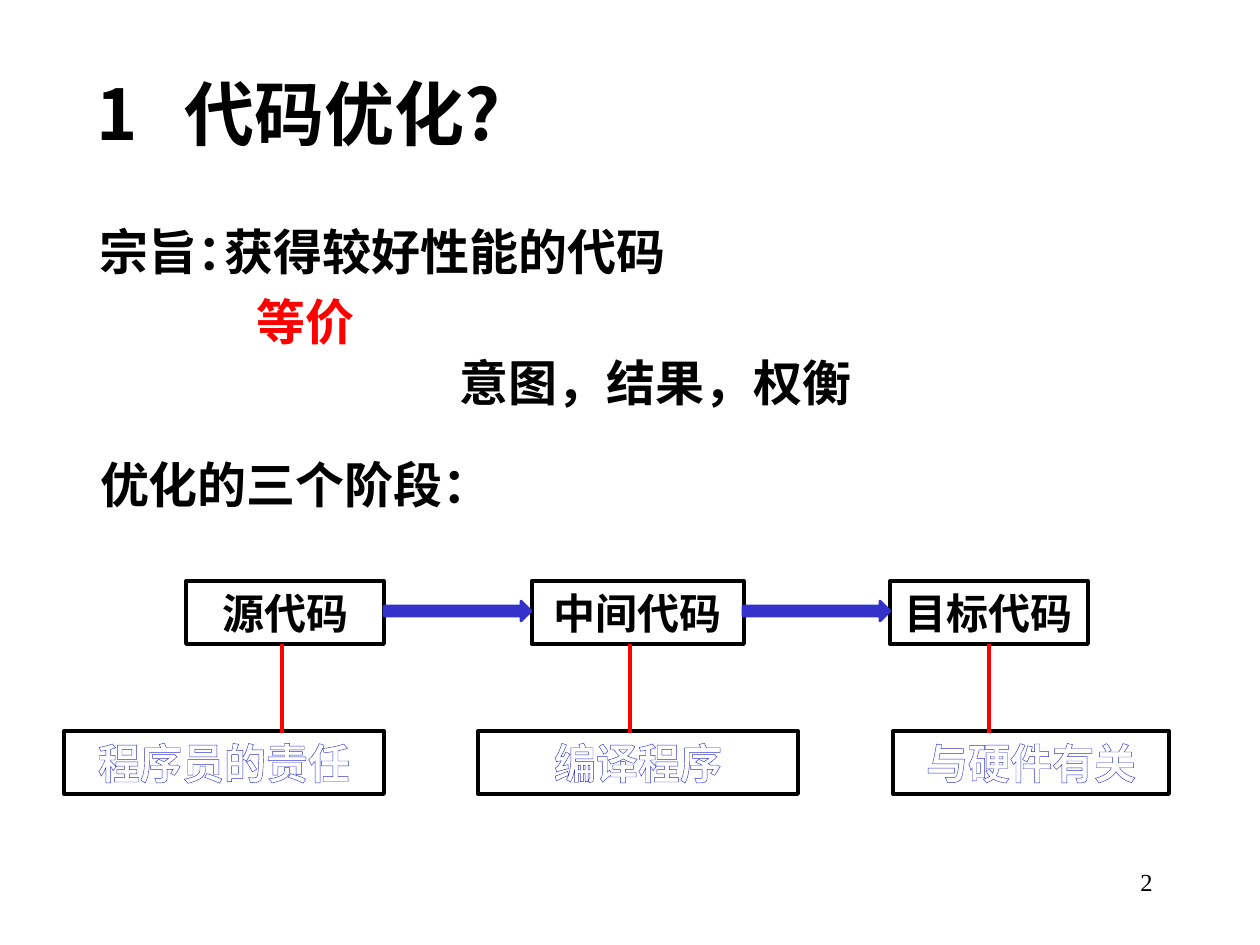
"""Build the slide on code optimization and its three stages."""
from lxml import etree
from pptx import Presentation
from pptx import util as u
from pptx.dml.color import RGBColor
from pptx.enum import shapes, text
from pptx.oxml import ns

COLORS = {"black": "000000", "white": "FFFFFF", "red": "FF0000", "blue": "3333CC"}
SANS, SERIF = "Noto Sans CJK SC", "Times New Roman"
PX = 914400 / 126


def px(*values):
    """Turn pixels into EMU."""
    return [u.Emu(round(v * PX)) for v in values]


def rgb(name):
    """Look up a colour by name."""
    return RGBColor.from_string(COLORS[name])


def sub(parent, tag, **attrs):
    """Append a DrawingML element to its parent."""
    return etree.SubElement(parent, ns.qn(tag), attrs)


def write(tf, words, size, font=SANS, color="black", bold=True, align=None):
    """Put one formatted paragraph into a text frame."""
    tf.text = words
    p = tf.paragraphs[0]
    p.alignment = align
    r = p.runs[0]
    r.font.size, r.font.bold, r.font.name = u.Pt(size), bold, font
    r.font.color.rgb = rgb(color)
    sub(r.font._element, "a:ea", typeface=SANS)
    return p


def add_label(s, box, words, size=28, flush=True, **style):
    """Add a text box, with no margins when flush."""
    tf = s.shapes.add_textbox(*px(*box)).text_frame
    tf.word_wrap = not flush
    if flush:
        tf.margin_left = tf.margin_right = tf.margin_top = tf.margin_bottom = 0
        tf.auto_size = text.MSO_AUTO_SIZE.SHAPE_TO_FIT_TEXT
    return write(tf, words, size, **style)


def add_title(s, number, words):
    """Add the title with a tab between its number and words."""
    p = add_label(s, (84, 53, 756, 120), f"{number}\t{words}", 40, flush=False)
    tabs = sub(p._p.get_or_add_pPr(), "a:tabLst")
    sub(tabs, "a:tab", pos=str(px(88)[0]), algn="l")
    p._p.getparent().bodyPr.set("anchor", "ctr")


def add_shape(s, kind, box, fill, line, width):
    """Add a filled and outlined preset shape."""
    sp = s.shapes.add_shape(kind, *px(*box))
    sp.shadow.inherit = False
    sp.fill.solid()
    sp.fill.fore_color.rgb = rgb(fill)
    sp.line.color.rgb = rgb(line)
    sp.line.width = u.Pt(width)
    return sp


def add_box(s, box, words, outlined=False):
    """Add a framed box with plain or outlined lettering."""
    sp = add_shape(s, shapes.MSO_SHAPE.RECTANGLE, box, "white", "black", 2.25)
    tf = sp.text_frame
    tf.word_wrap = True
    tf.vertical_anchor = text.MSO_ANCHOR.TOP
    tf.auto_size = text.MSO_AUTO_SIZE.SHAPE_TO_FIT_TEXT
    p = write(tf, words, 24, SERIF, "white" if outlined else "black",
              align=text.PP_ALIGN.CENTER)
    before = sub(p._p.get_or_add_pPr(), "a:spcBef")
    sub(before, "a:spcPct", val="20000")
    if outlined:
        ln = etree.Element(ns.qn("a:ln"), w=str(u.Pt(0.52)))
        sub(sub(ln, "a:solidFill"), "a:srgbClr", val=COLORS["blue"])
        p.runs[0].font._element.insert(0, ln)


def add_link(s, x, top, bottom):
    """Add a red vertical line."""
    c = s.shapes.add_connector(shapes.MSO_CONNECTOR.STRAIGHT, *px(x, top, x, bottom))
    c.line.color.rgb = rgb("red")
    c.line.width = u.Pt(2.25)
    sub(c._element.spPr, "a:effectLst")


def main():
    """Build and save the slide."""
    prs = Presentation()
    prs.slide_width, prs.slide_height = px(1260, 945)
    s = prs.slides.add_slide(prs.slide_layouts[6])

    add_title(s, "1", "代码优化?")
    for x, y, w, words, color in [
        (100, 222, 147, "宗旨：", "black"),
        (225, 222, 441, "获得较好性能的代码", "black"),
        (257, 292, 98, "等价", "red"),
        (460, 352, 393, "意图，结果，权衡", "black"),
        (100, 454, 382, "优化的三个阶段：", "black"),
    ]:
        add_label(s, (x, y, w, 59), words, color=color)
    add_label(s, (903, 861, 262, 63), "2", 14, flush=False, font=SERIF,
              bold=False, align=text.PP_ALIGN.RIGHT)

    for x, w, stage, link_x, owner_x, owner_w, owner in [
        (186, 198, "源代码", 282, 64, 320, "程序员的责任"),
        (532, 212, "中间代码", 630, 478, 320, "编译程序"),
        (890, 198, "目标代码", 989, 893, 276, "与硬件有关"),
    ]:
        add_box(s, (x, 581, w, 63), stage)
        add_box(s, (owner_x, 731, owner_w, 63), owner, outlined=True)
        add_link(s, link_x, 644, 733)
    for x in (384, 743):
        add_shape(s, shapes.MSO_SHAPE.RIGHT_ARROW, (x, 601, 147, 20),
                  "blue", "blue", 1.5)
    prs.save("out.pptx")


main()
